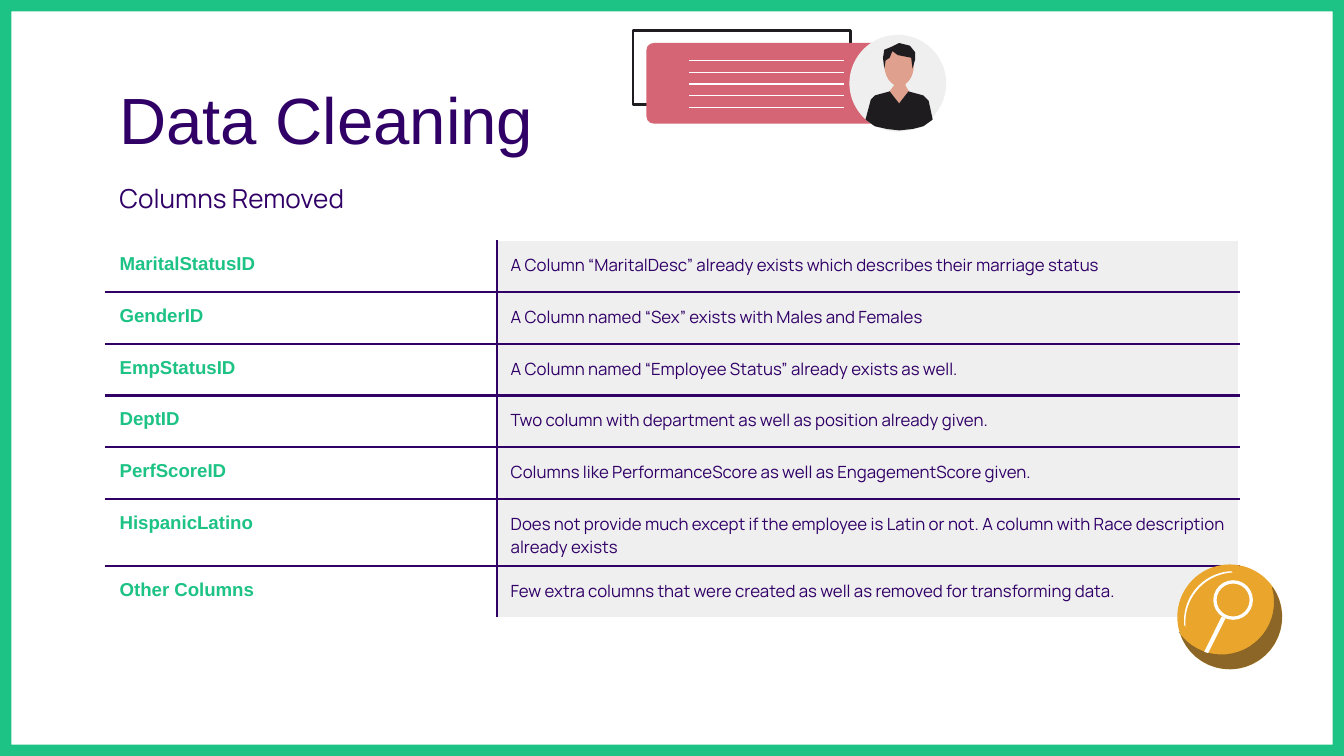
from math import cos, radians, sin

from lxml.etree import SubElement
from pptx import Presentation
from pptx.dml.color import RGBColor
from pptx.enum.shapes import MSO_CONNECTOR, MSO_SHAPE
from pptx.oxml import parse_xml
from pptx.oxml.ns import nsdecls, qn
from pptx.util import Inches, Pt

# Content
TITLE = "Data Cleaning"
SUB = "Columns Removed"
ROWS = [
    ("MaritalStatusID", "A Column “MaritalDesc” already exists which describes their marriage status"),
    ("GenderID", "A Column named “Sex” exists with Males and Females"),
    ("EmpStatusID", "A Column named “Employee Status” already exists as well."),
    ("DeptID", "Two column with department as well as position already given."),
    ("PerfScoreID", "Columns like PerformanceScore as well as EngagementScore given."),
    ("HispanicLatino", "Does not provide much except if the employee is Latin or not. "
                       "A column with Race description already exists"),
    ("Other Columns", "Few extra columns that were created as well as removed for transforming data."),
]
GREEN, PURPLE, GRAY, WHITE = "1DC285", "300067", "EFEFEF", "FFFFFF"
DARK, GOLD, ROSE, SKIN = "1F1C20", "EAA62C", "D56574", "DFA18D"
LEFT, WIDE = 0.79, 8.43
PAGE = 10, 10 * 9 / 16

# Outlines of the figure on the card
NECK = [(6.65, 0.58), (6.74, 0.58), (6.74, 0.64), (6.77, 0.69), (6.69, 0.79), (6.61, 0.69), (6.65, 0.64)]
HAIR = [(6.69, 0.32), (6.63, 0.35), (6.58, 0.37), (6.57, 0.43), (6.58, 0.51), (6.59, 0.45), (6.62, 0.43),
        (6.64, 0.38), (6.68, 0.41), (6.78, 0.43), (6.79, 0.51), (6.81, 0.44), (6.81, 0.39), (6.77, 0.34)]
SHIRT = [(6.62, 0.68), (6.51, 0.71), (6.48, 0.74), (6.44, 0.89), (6.51, 0.94), (6.6, 0.96), (6.69, 0.97),
         (6.79, 0.96), (6.87, 0.94), (6.94, 0.89), (6.91, 0.75), (6.87, 0.71), (6.76, 0.68), (6.69, 0.77)]
HANDLE = [(9.09, 4.59), (8.96, 4.85), (8.99, 4.86), (9.12, 4.6)]


def rgb(hexa):
    return RGBColor.from_string(hexa)


def paint(shape, fill=None, line=None, width=1.5):
    shape.shadow.inherit = False
    if fill:
        shape.fill.solid()
        shape.fill.fore_color.rgb = rgb(fill)
    else:
        shape.fill.background()
    if line:
        shape.line.color.rgb = rgb(line)
        shape.line.width = Pt(width)
    else:
        shape.line.fill.background()
    return shape


def add(home, kind, box, *look):
    return paint(home.add_shape(kind, *map(Inches, box)), *look)


def outline(home, points, fill):
    dots = [(Inches(x), Inches(y)) for x, y in points]
    pen = home.build_freeform(*dots[0], scale=1.0)
    pen.add_line_segments(dots[1:], close=True)
    return paint(pen.convert_to_shape(), fill)


def arc(x, y, r, start, end, steps=24):
    turns = [radians(start + (end - start) * i / steps) for i in range(steps + 1)]
    return [(x + r * cos(t), y + r * sin(t)) for t in turns]


def inset(part):
    part.margin_left = part.margin_right = Inches(0.1)
    part.margin_top = part.margin_bottom = Inches(0.1)


def style(para, text, size, font, color, bold=False):
    para.text = text
    face = para.runs[0].font
    face.size, face.name, face.bold = Pt(size), font, bold
    face.color.rgb = rgb(color)


def label(home, box, *look):
    frame = home.add_textbox(*map(Inches, box)).text_frame
    frame.word_wrap = True
    inset(frame)
    style(frame.paragraphs[0], *look)


def border(cell, sides):
    props = cell._tc.get_or_add_tcPr()
    for i, side in enumerate(sides):
        props.insert(i, parse_xml(
            f'<a:ln{side} {nsdecls("a")} w="{Pt(1.5)}"><a:solidFill>'
            f'<a:srgbClr val="{PURPLE}"/></a:solidFill></a:ln{side}>'))


deck = Presentation()
deck.slide_width, deck.slide_height = map(Inches, PAGE)
shapes = deck.slides.add_slide(deck.slide_layouts[6]).shapes

# Slide edge and headings
edge = add(shapes, MSO_SHAPE.FRAME, (0, 0, *PAGE), GREEN)
edge.adjustments[0] = 0.015
label(shapes, (LEFT, 0.49, WIDE, 0.63), TITLE, 35, "Arial", PURPLE)
label(shapes, (LEFT, 1.26, WIDE, 0.43), SUB, 14, "Manrope", PURPLE)

# Table of removed columns; the two-line row grows by itself
table = shapes.add_table(len(ROWS), 2, *map(Inches, (LEFT, 1.79, WIDE, 2.69))).table
table.first_row = table.horz_banding = False
table.columns[0].width, table.columns[1].width = Inches(2.91), Inches(5.52)
looks = [(10, "Arial", GREEN, True), (9, "Manrope", PURPLE)]
for r, row in enumerate(ROWS):
    for c, text in enumerate(row):
        cell = table.cell(r, c)
        inset(cell)
        style(cell.text_frame.paragraphs[0], text, *looks[c])
        if c:
            cell.fill.solid()
            cell.fill.fore_color.rgb = rgb(GRAY)
        else:
            cell.fill.background()
        sides = "L" if c else "R"
        sides += "T" if r else ""
        sides += "B" if r < len(ROWS) - 1 else ""
        border(cell, sides)

# Search badge
badge = shapes.add_group_shape().shapes
add(badge, MSO_SHAPE.OVAL, (8.76, 4.2, 0.78, 0.78), GOLD)
shade = outline(badge, arc(9.15, 4.59, 0.39, -35, 163) + arc(9.09, 4.48, 0.39, 145, -16), DARK)
tint = shade.fill._xPr.find(qn("a:solidFill"))[0]
SubElement(tint, qn("a:alpha")).set("val", "46000")
outline(badge, arc(9.18, 4.62, 0.37, 175, 267) + arc(9.19, 4.63, 0.37, 267, 175), WHITE)
add(badge, MSO_SHAPE.OVAL, (9.04, 4.33, 0.27, 0.27), None, WHITE, 1.75)
outline(badge, HANDLE, WHITE)

# Profile card
card = shapes.add_group_shape().shapes
add(card, MSO_SHAPE.RECTANGLE, (4.71, 0.23, 1.62, 0.55), None, DARK)
panel = add(card, MSO_SHAPE.ROUNDED_RECTANGLE, (4.81, 0.32, 1.78, 0.6), ROSE)
panel.adjustments[0] = 0.09
for i in range(5):
    y = Inches(0.45 + 0.35 * i / 4)
    rule = card.add_connector(MSO_CONNECTOR.STRAIGHT, Inches(5.13), y, Inches(6.28), y)
    rule.line.color.rgb = rgb(WHITE)
    rule.line.width = Pt(0.75)
    SubElement(rule._element.spPr, qn("a:effectLst"))
add(card, MSO_SHAPE.OVAL, (6.32, 0.26, 0.72, 0.72), GRAY)
outline(card, NECK, SKIN)
add(card, MSO_SHAPE.OVAL, (6.58, 0.33, 0.22, 0.31), SKIN)
outline(card, HAIR, DARK)
outline(card, SHIRT, DARK)

deck.save("out.pptx")
